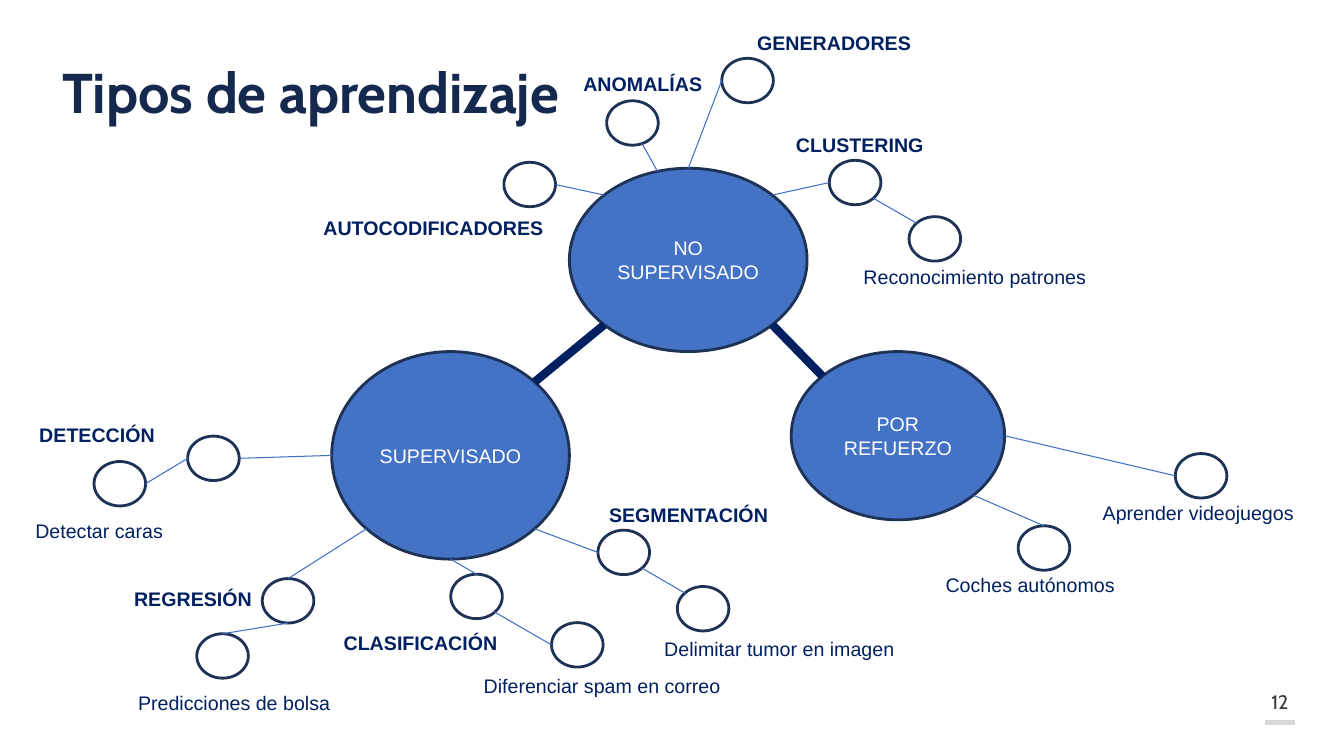
import math
from dataclasses import dataclass

import lxml.etree
import pptx
import pptx.dml.color
import pptx.enum.shapes
import pptx.enum.text
import pptx.oxml.ns
import pptx.util

Cm, Pt = pptx.util.Cm, pptx.util.Pt
ALIGN, ANCHOR = pptx.enum.text.PP_ALIGN, pptx.enum.text.MSO_ANCHOR
NAVY, OUTLINE, BLUE, LINK = "002060", "1E3256", "4472C4", "3F6FC3"
NODE_W, NODE_H, LABEL_H = 1.3, 1.12, 0.86
# Angles of the ellipse connection sites, clockwise from the right
E, SE, S, SW, W, NW, N, NE = range(0, 360, 45)


@dataclass
class Box:
    """A region in centimetres."""
    left: float
    top: float
    width: float
    height: float

    def emu(self):
        return Cm(self.left), Cm(self.top), Cm(self.width), Cm(self.height)

    def site(self, degrees):
        """Point on the ellipse that fills this box."""
        angle = math.radians(degrees)
        return (self.left + self.width / 2 * (1 + math.cos(angle)),
                self.top + self.height / 2 * (1 + math.sin(angle)))


@dataclass
class Node:
    """A small circle, offset from its hub, with a label offset from the circle."""
    offset: tuple
    link: tuple  # angle on the parent, angle on this circle
    label: str = ""
    label_at: tuple = (0, 0)
    label_width: float = 0
    bold: bool = False
    wrap: bool = False
    example: "Node" = None


def rgb(value):
    return pptx.dml.color.RGBColor.from_string(value)


def style(paragraph, size, color, font="Arial", bold=False, align=ALIGN.LEFT):
    paragraph.alignment = align
    paragraph.font.name, paragraph.font.size = font, Pt(size)
    paragraph.font.bold = bold
    paragraph.font.color.rgb = rgb(color)


def add_line(slide, start, end, color, width):
    line = slide.shapes.add_connector(
        pptx.enum.shapes.MSO_CONNECTOR.STRAIGHT, *map(Cm, start + end))
    line.line.color.rgb = rgb(color)
    line.line.width = Pt(width)
    properties = line._element.spPr
    lxml.etree.SubElement(properties, pptx.oxml.ns.qn("a:effectLst"))


def add_ellipse(slide, box, fill=None):
    ellipse = slide.shapes.add_shape(pptx.enum.shapes.MSO_SHAPE.OVAL, *box.emu())
    ellipse.shadow.inherit = False
    ellipse.line.color.rgb = rgb(OUTLINE)
    ellipse.line.width = Pt(2)
    if fill:
        ellipse.fill.solid()
        ellipse.fill.fore_color.rgb = rgb(fill)
    else:
        ellipse.fill.background()
    return ellipse


def add_label(slide, box, text, wrap=False, **font):
    frame = slide.shapes.add_textbox(*box.emu()).text_frame
    frame.word_wrap = wrap
    frame.text = text
    style(frame.paragraphs[0], **font)


def add_node(slide, hub, parent, node):
    """Draw a circle, the line from its parent, its label and its example."""
    circle = Box(hub.left + node.offset[0], hub.top + node.offset[1], NODE_W, NODE_H)
    add_ellipse(slide, circle)
    add_line(slide, parent.site(node.link[0]), circle.site(node.link[1]), LINK, 0.75)
    label = Box(circle.left + node.label_at[0], circle.top + node.label_at[1],
                node.label_width, LABEL_H)
    add_label(slide, label, node.label, node.wrap, size=14, color=NAVY, bold=node.bold)
    if node.example:
        add_node(slide, hub, circle, node.example)


def add_learning_type(slide, box, name, nodes):
    """Draw the hub of a learning type in its box, with its techniques around it."""
    hub = add_ellipse(slide, box, BLUE)
    hub.text_frame.text = name
    hub.text_frame.word_wrap = True
    hub.text_frame.vertical_anchor = ANCHOR.MIDDLE
    style(hub.text_frame.paragraphs[0], 14, "FFFFFF", align=ALIGN.CENTER)
    for node in nodes:
        add_node(slide, box, box, node)


def add_title(slide, box, text):
    title = slide.shapes.title
    title.left, title.top, title.width, title.height = box.emu()
    frame = title.text_frame
    frame.text = text
    frame.word_wrap = True
    frame.auto_size = pptx.enum.text.MSO_AUTO_SIZE.NONE
    frame.vertical_anchor = ANCHOR.BOTTOM
    frame.paragraphs[0].line_spacing = 0.9
    style(frame.paragraphs[0], 40, "15284E", "Cabin", True)


def add_page_number(slide, box, number):
    middle, rule_y = box.left + box.width / 2, box.top + 0.96
    add_line(slide, (middle - 0.38, rule_y), (middle + 0.38, rule_y), "D8D8D8", 3.25)
    add_label(slide, box, number, wrap=True, size=14, color="3A3838",
              font="Cabin", align=ALIGN.CENTER)


SUPERVISED = [
    Node((-1.75, 5.72), (SW, N), "REGRESIÓN", (-3.48, 0.08), 3.51, bold=True,
         example=Node((-3.4, 7.11), (S, N), "Predicciones de bolsa", (-1.73, 1.32), 5.38)),
    Node((3, 5.61), (S, N), "CLASIFICACIÓN", (-2.95, 1.3), 4.42, bold=True,
         example=Node((5.54, 6.83), (SE, W), "Diferenciar spam en correo", (-1.96, 1.17), 6.5)),
    Node((6.71, 4.5), (SE, W), "SEGMENTACIÓN", (0.03, -0.81), 4.57, bold=True,
         example=Node((8.71, 5.92), (SE, NW), "Delimitar tumor en imagen", (-0.58, 1.14), 6.35)),
    Node((-3.63, 2.13), (W, E), "DETECCIÓN", (-3.99, -0.46), 3.45, bold=True,
         example=Node((-5.99, 2.77), (W, E), "Detectar caras", (-1.73, 1.32), 3.73)),
]
UNSUPERVISED = [
    Node((6.55, -0.2), (NE, W), "CLUSTERING", (-1.09, -0.81), 3.73, bold=True,
         example=Node((8.56, 1.22), (SE, NW), "Reconocimiento patrones", (-1.4, 1.09), 10.9,
                      wrap=True)),
    Node((-1.65, -0.15), (NW, E), "AUTOCODIFICADORES", (-4.8, 1.22), 6.05, bold=True),
    Node((3.84, -2.77), (N, W), "GENERADORES", (0.64, -0.81), 4.42, bold=True),
    Node((0.94, -1.7), (N - 15, 68), "ANOMALÍAS", (-0.84, -0.86), 3.53, bold=True),
]
REINFORCEMENT = [
    Node((9.68, 2.57), (E, W), "Aprender videojuegos", (-2.08, 1.07), 6.05, wrap=True),
    Node((5.72, 4.39), (SE, N), "Coches autónomos", (-2.08, 1.07), 6.05, wrap=True),
]


def main():
    deck = pptx.Presentation()
    deck.slide_width, deck.slide_height = Cm(33.87), Cm(19.05)
    slide = deck.slides.add_slide(deck.slide_layouts[5])

    # Title and page number
    add_title(slide, Box(1.32, 1.47, 29.21, 1.83), "Tipos de aprendizaje")
    add_page_number(slide, Box(31.57, 17.25, 1.37, LABEL_H), "12")

    # The three learning types
    supervised = Box(8.36, 8.86, 5.99, 5.23)
    unsupervised = Box(14.35, 4.24, 5.99, 4.62)
    reinforcement = Box(19.94, 8.86, 5.38, 4.24)
    add_learning_type(slide, supervised, "SUPERVISADO", SUPERVISED)
    add_learning_type(slide, unsupervised, "NO SUPERVISADO", UNSUPERVISED)
    add_learning_type(slide, reinforcement, "POR REFUERZO", REINFORCEMENT)

    # Thick links between the hubs
    add_line(slide, unsupervised.site(SW), supervised.site(NE), NAVY, 6)
    add_line(slide, unsupervised.site(SE), reinforcement.site(NW), NAVY, 6)

    deck.save("out.pptx")


if __name__ == "__main__":
    main()
